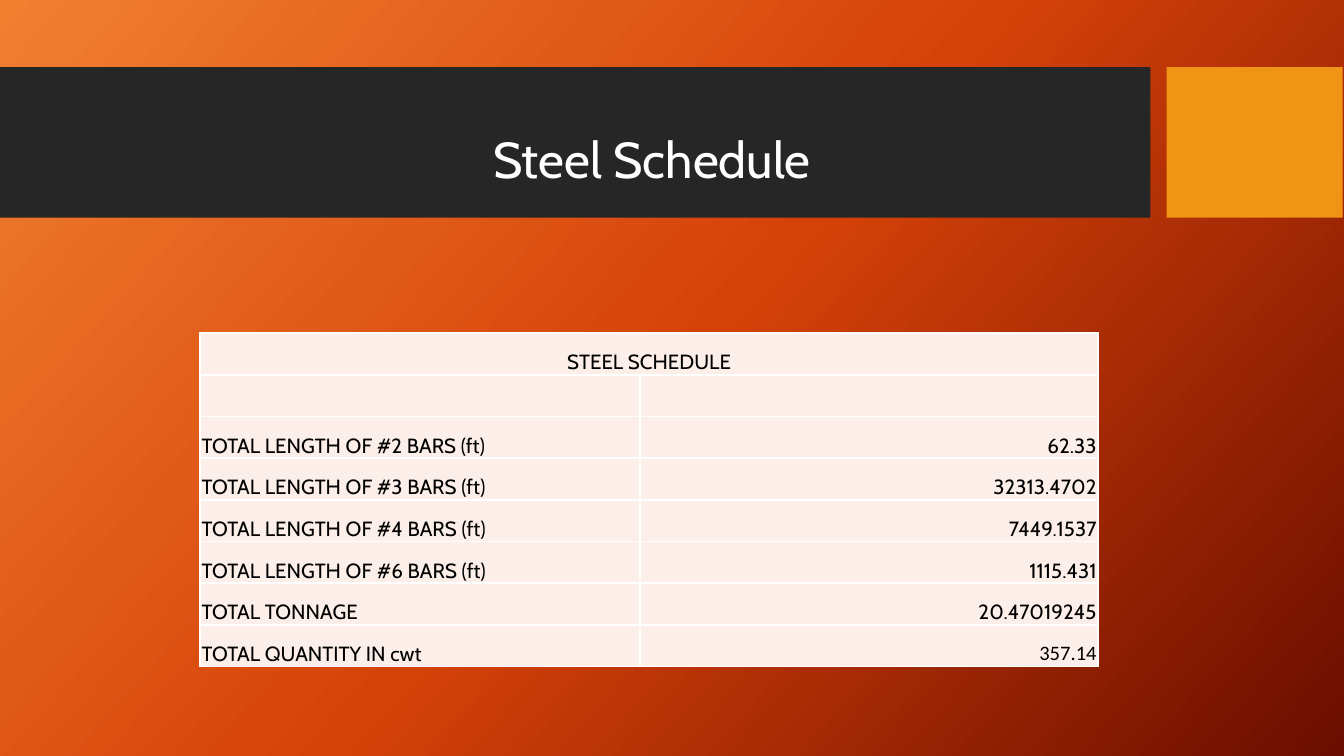
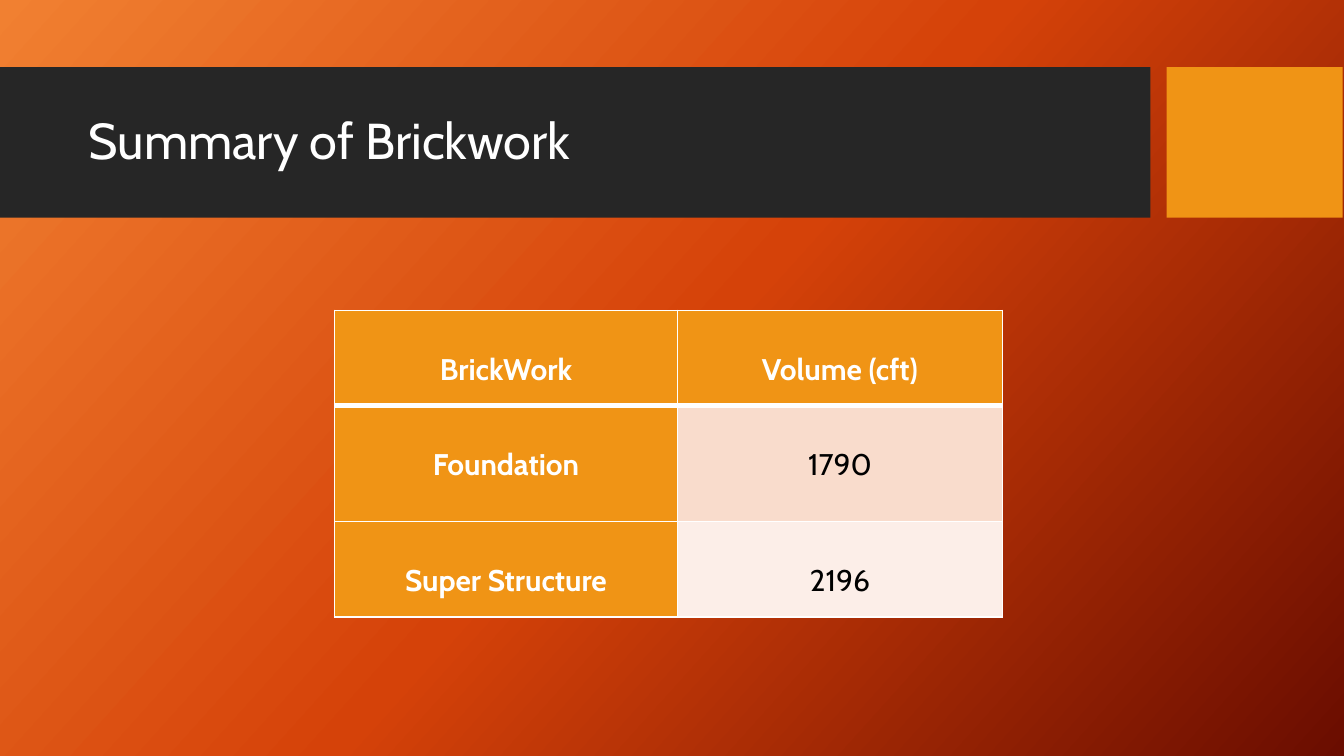
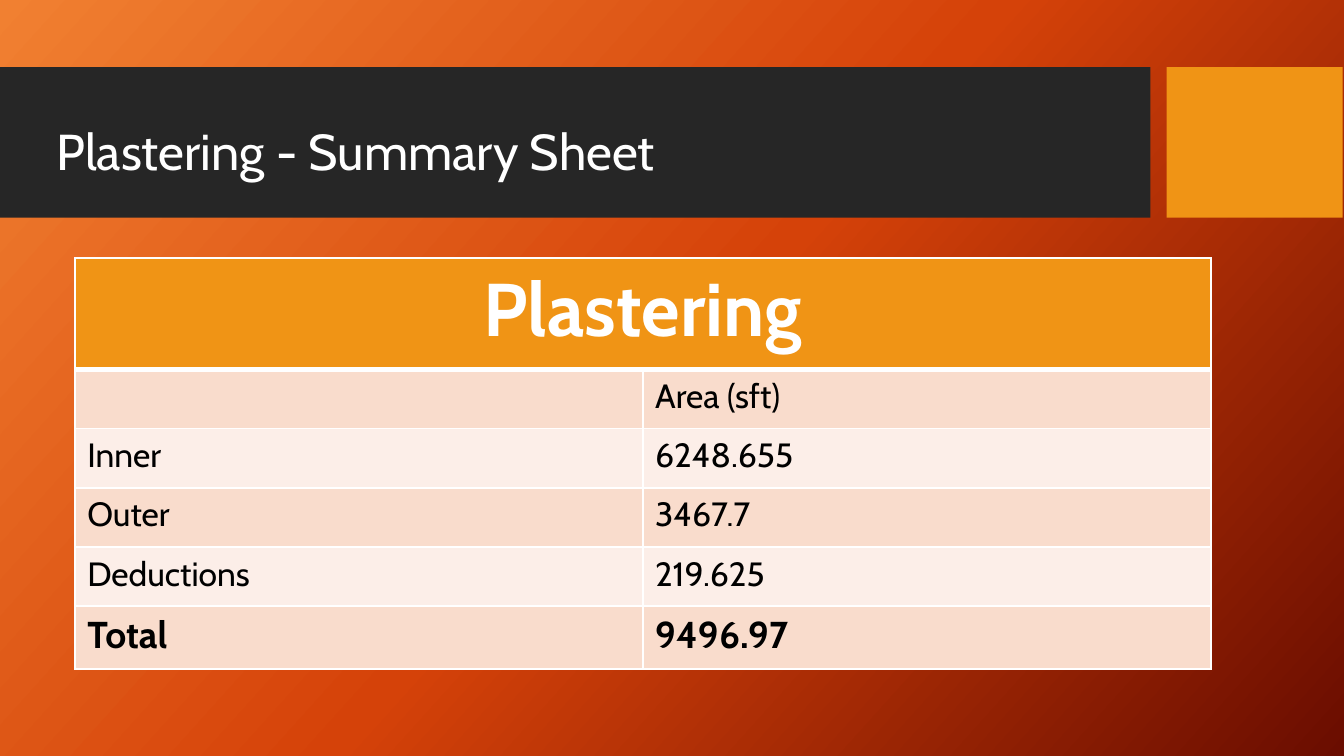
"""Builds three schedule slides: steel, brickwork and plastering."""
import copy

import pptx
import pptx.dml.color
import pptx.enum.shapes
import pptx.enum.text
import pptx.oxml
import pptx.oxml.ns
import pptx.util

Inches = pptx.util.Inches
Pt = pptx.util.Pt
RGBColor = pptx.dml.color.RGBColor
ALIGN = pptx.enum.text.PP_ALIGN
ANCHOR = pptx.enum.text.MSO_ANCHOR
qn = pptx.oxml.ns.qn

WHITE = RGBColor(0xFF, 0xFF, 0xFF)
BLACK = RGBColor(0x00, 0x00, 0x00)
CHARCOAL = RGBColor(0x26, 0x26, 0x26)
AMBER = RGBColor(0xF0, 0x94, 0x15)
PEACH = RGBColor(0xF9, 0xDC, 0xCC)
PALE = RGBColor(0xFC, 0xEE, 0xE8)
GRADIENT = [
    (0, RGBColor(0xF1, 0x80, 0x31)),
    (0.5, RGBColor(0xD5, 0x42, 0x09)),
    (1, RGBColor(0x6A, 0x0D, 0x00)),
]
BANDS = [((0, 0.5, 8.56, 1.12), CHARCOAL), ((8.68, 0.5, 1.31, 1.12), AMBER)]

STEEL = [
    ("STEEL SCHEDULE", ""),
    ("", ""),
    ("TOTAL LENGTH OF #2 BARS (ft)", "62.33"),
    ("TOTAL LENGTH OF #3 BARS (ft)", "32313.4702"),
    ("TOTAL LENGTH OF #4 BARS (ft)", "7449.1537"),
    ("TOTAL LENGTH OF #6 BARS (ft)", "1115.431"),
    ("TOTAL TONNAGE", "20.47019245"),
    ("TOTAL QUANTITY IN cwt", "357.14"),
]
BRICKWORK = [
    ("BrickWork", "Volume (cft)"),
    ("Foundation", "1790"),
    ("Super Structure", "2196"),
]
PLASTERING = [
    ("Plastering", ""),
    ("", "Area (sft)"),
    ("Inner", "6248.655"),
    ("Outer", "3467.7"),
    ("Deductions", "219.625"),
    ("Total", "9496.97"),
]


def steel_style(row, col):
    """Return the fill and text format of a steel cell."""
    align = ALIGN.CENTER if row == 0 else (ALIGN.LEFT, ALIGN.RIGHT)[col]
    last_value = (row, col) == (len(STEEL) - 1, 1)
    return PALE, dict(size=11, align=align, font="Calibri" if last_value else "Cabin")


def brickwork_style(row, col):
    """Return the fill and text format of a brickwork cell."""
    head = row == 0 or col == 0
    fill = AMBER if head else (PALE, PEACH)[row % 2]
    return fill, dict(size=16, color=WHITE if head else BLACK, bold=head,
                      align=ALIGN.CENTER, spacing=1.07)


def plastering_style(row, col):
    """Return the fill and text format of a plastering cell."""
    if row == 0:
        return AMBER, dict(size=40, color=WHITE, bold=True, align=ALIGN.CENTER)
    total = row == len(PLASTERING) - 1
    return (PALE, PEACH)[row % 2], dict(size=20 if total else 18, bold=total)


SLIDES = [
    dict(title="Steel Schedule", box=(0.53, 0.52, 8.64, 1.38), align=ALIGN.CENTER,
         table=dict(rows=STEEL, style=steel_style, at=(1.49, 2.48), widths=[3.27, 3.41],
                    heights=[0.31] * 8, margins=(0.01, 0.01, 0.01, 0),
                    anchor=ANCHOR.BOTTOM, merge=True)),
    dict(title="Summary of Brickwork", box=(0.56, 0.62, 7.89, 0.89),
         table=dict(rows=BRICKWORK, style=brickwork_style, at=(2.49, 2.31),
                    widths=[2.55, 2.42], heights=[0.71, 0.86, 0.71],
                    margins=(0.07, 0.29, 0.07, 0), rule=True)),
    dict(title="Plastering - Summary Sheet", box=(0.32, 0.81, 9.02, 0.67),
         table=dict(rows=PLASTERING, style=plastering_style, at=(0.56, 1.92),
                    widths=[8.45 / 2] * 2, heights=[0.83] + [0.44] * 4 + [0.47],
                    margins=(0.09, 0.05, 0.09, 0.05), merge=True, rule=True)),
]


def write(tf, text, size=18, color=BLACK, bold=False, font="Cabin",
          align=ALIGN.LEFT, spacing=1.0):
    """Put one formatted paragraph into a text frame."""
    p = tf.paragraphs[0]
    p.alignment = align
    p.line_spacing = spacing
    r = p.add_run()
    r.text = text
    r.font.name = font
    r.font.size = Pt(size)
    r.font.bold = bold
    r.font.color.rgb = color


def set_borders(cell, top, bottom):
    """Draw white lines on the four sides of a cell."""
    tc_pr = cell._tc.get_or_add_tcPr()
    for i, (side, width) in enumerate(zip("LRTB", (1, 1, top, bottom))):
        ln = pptx.oxml.parse_xml(
            f'<a:ln{side} {pptx.oxml.ns.nsdecls("a")} w="{Pt(width)}"><a:solidFill>'
            f'<a:srgbClr val="{WHITE}"/></a:solidFill></a:ln{side}>')
        tc_pr.insert(i, ln)


def add_grid(s, rows, style, at, widths, heights, margins,
             anchor=ANCHOR.TOP, merge=False, rule=False):
    """Add a table, with an optional merged head and heavy rule below it."""
    table = s.shapes.add_table(len(rows), len(widths), *map(Inches, at),
                               Inches(sum(widths)), Inches(sum(heights))).table
    table.first_row = table.horz_banding = False
    for column, width in zip(table.columns, widths):
        column.width = Inches(width)
    for i, (values, height) in enumerate(zip(rows, heights)):
        table.rows[i].height = Inches(height)
        for j, value in enumerate(values):
            cell = table.cell(i, j)
            fill, text_format = style(i, j)
            cell.fill.solid()
            cell.fill.fore_color.rgb = fill
            (cell.margin_left, cell.margin_top,
             cell.margin_right, cell.margin_bottom) = map(Inches, margins)
            cell.vertical_anchor = anchor
            set_borders(cell, 3 if rule and i == 1 else 1, 3 if rule and i == 0 else 1)
            write(cell.text_frame, value, **text_format)
    if merge:
        table.cell(0, 0).merge(table.cell(0, len(widths) - 1))


def style_layout(layout, s):
    """Give the layout its gradient and bands, drawing the bands by way of a slide."""
    fill = layout.background.fill
    fill.gradient()
    fill.gradient_angle = 360 - 42
    stops = layout.element.find(".//" + qn("a:gsLst"))
    stops.insert(1, copy.deepcopy(stops[0]))
    for stop, (position, color) in zip(fill.gradient_stops, GRADIENT):
        stop.position = position
        stop.color.rgb = color
    for i, (box, color) in enumerate(BANDS):
        band = s.shapes.add_shape(pptx.enum.shapes.MSO_SHAPE.RECTANGLE, *map(Inches, box))
        band.shadow.inherit = False
        band.fill.solid()
        band.fill.fore_color.rgb = color
        band.line.fill.background()
        layout.shapes.element.insert(2 + i, band.element)


def set_title(s, text, box, align):
    """Place and format the title placeholder."""
    title = s.shapes.title
    title.left, title.top, title.width, title.height = map(Inches, box)
    tf = title.text_frame
    tf.word_wrap = True
    tf.auto_size = pptx.enum.text.MSO_AUTO_SIZE.NONE
    tf.vertical_anchor = ANCHOR.MIDDLE
    write(tf, text, size=27, color=WHITE, align=align, spacing=0.9)


def main():
    """Build and save the deck."""
    prs = pptx.Presentation()
    prs.slide_width, prs.slide_height = Inches(10), Inches(10 * 9 / 16)
    layout = prs.slide_layouts.get_by_name("Title Only")
    for i, content in enumerate(SLIDES):
        s = prs.slides.add_slide(layout)
        if i == 0:
            style_layout(layout, s)
        set_title(s, content["title"], content["box"], content.get("align", ALIGN.LEFT))
        add_grid(s, **content["table"])
    prs.save("out.pptx")


if __name__ == "__main__":
    main()
